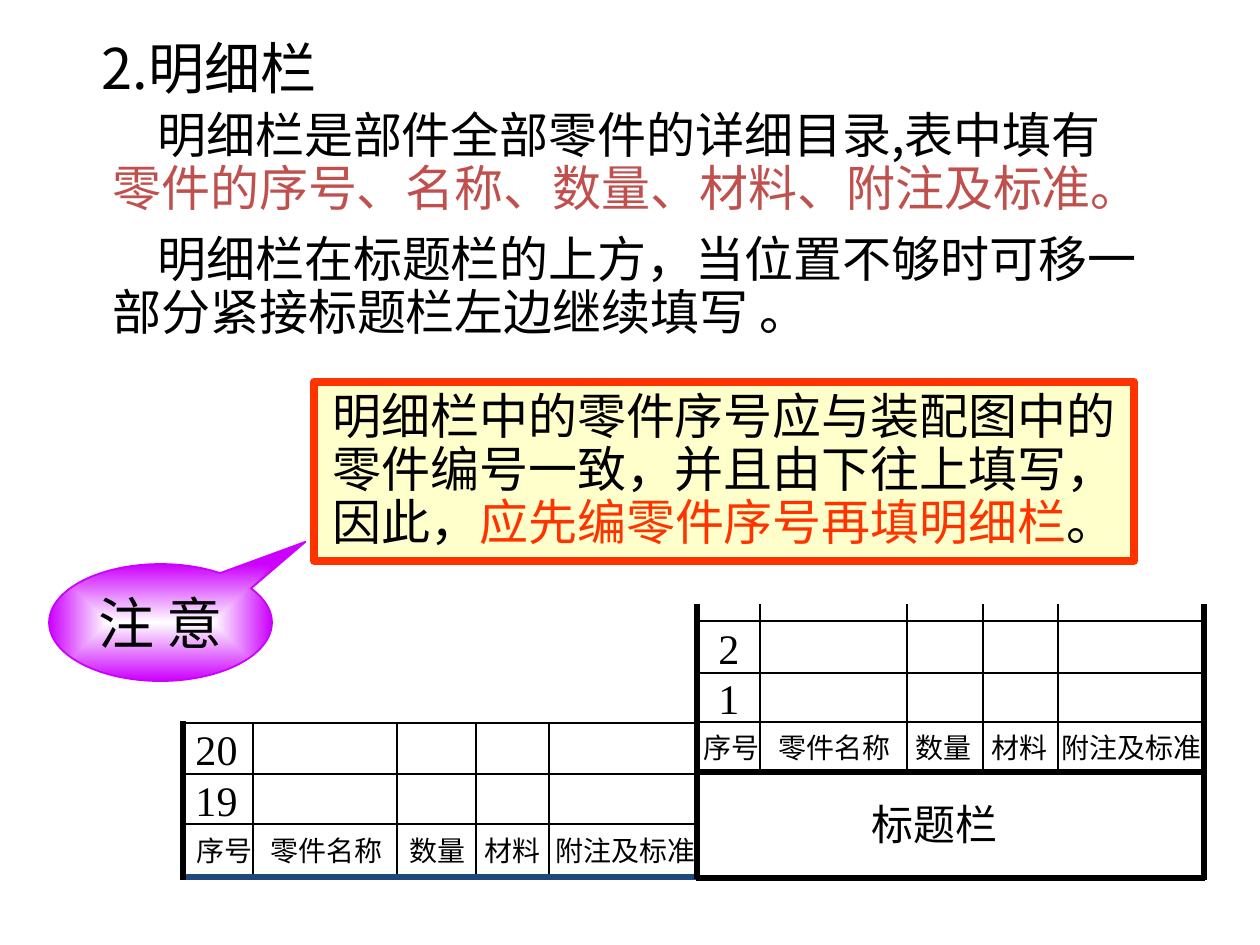
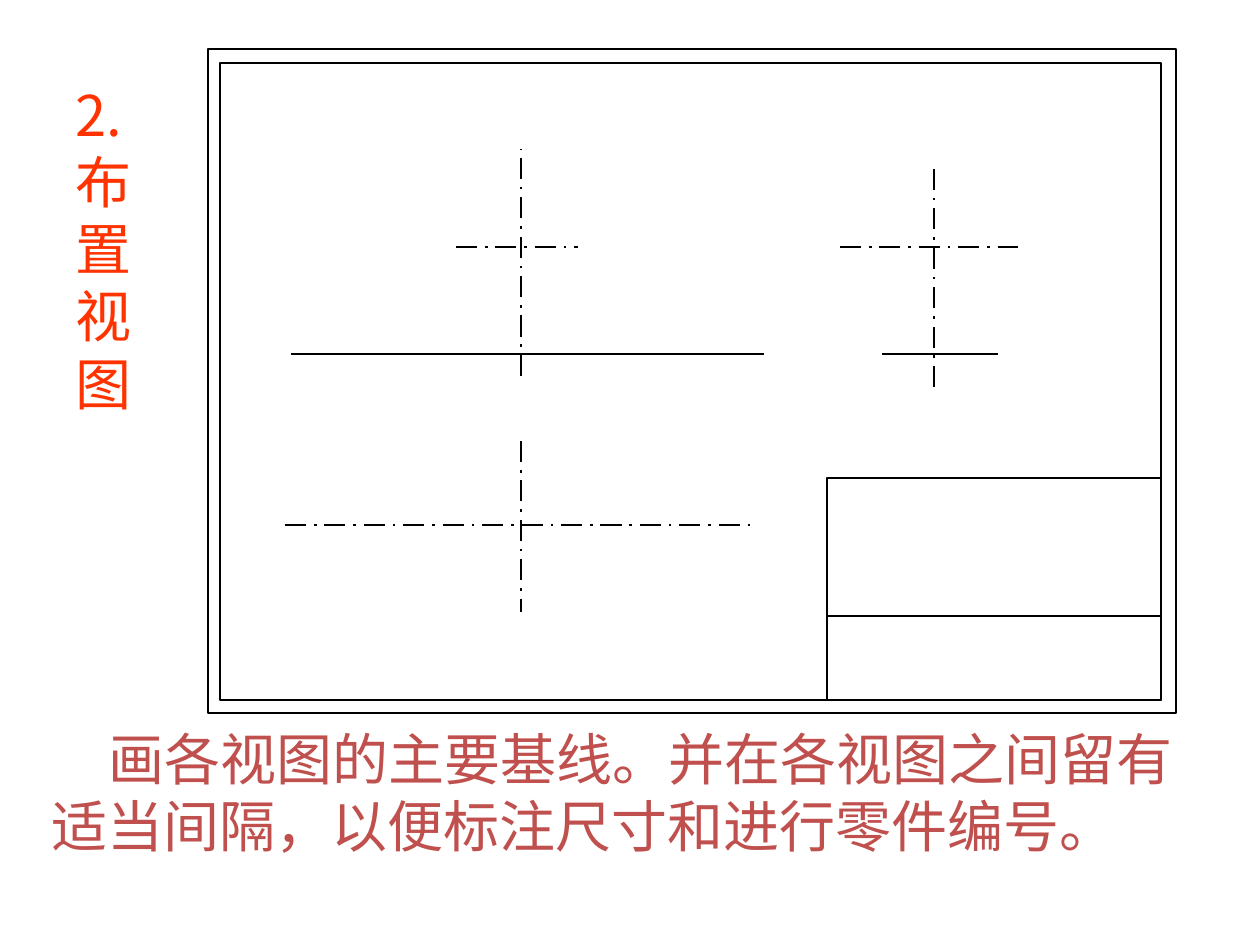
"""Build two slides on the parts list and the layout of views in an assembly drawing."""
from dataclasses import dataclass
from itertools import pairwise
from typing import Any, NamedTuple

from lxml import etree
from pptx import Presentation
from pptx import util as u
from pptx.dml import color
from pptx.enum import dml, shapes, text
from pptx.oxml import ns

PX = 914400 / 126


@dataclass(frozen=True)
class Theme:
    """Colours, fonts, type sizes and line weights of the deck."""
    ink: str = "000000"
    accent: str = "C0504D"
    alert: str = "FF3300"
    note: str = "FFFFCC"
    violet: str = "CC00FF"
    white: str = "FFFFFF"
    blue: str = "1F497D"
    sans: str = "Noto Sans CJK SC"
    serif: str = "Times New Roman"
    heading: int = 32
    body: int = 28
    entry: int = 24
    label: int = 16
    heavy: float = 3
    thin: float = 1.5
    border: float = 4.5


THEME = Theme()


class Area(NamedTuple):
    """A place on the page in px."""
    left: int
    top: int
    width: int
    height: int


class Span(NamedTuple):
    """A run of text in one colour."""
    words: str
    colour: str = THEME.ink


class Stroke(NamedTuple):
    """A straight line in px with its look."""
    x1: int
    y1: int
    x2: int
    y2: int
    weight: float = THEME.thin
    colour: str = THEME.ink
    dash: Any = None


class TextStyle(NamedTuple):
    """The format of all paragraphs in a box."""
    size: int
    font: str = THEME.sans
    align: Any = text.PP_ALIGN.LEFT
    spacing: float = 1.0
    indent: int = 0
    anchor: Any = text.MSO_ANCHOR.MIDDLE
    wrap: bool = True


class PartsForm(NamedTuple):
    """A ruled parts list; its bottom row holds the column names."""
    left: int
    right: int
    top: int
    rules: tuple[int, ...]
    foot: int
    foot_colour: str
    dividers: tuple[int, ...]
    centres: tuple[int, ...]
    number_x: int
    numbers: tuple[str, ...]


COLUMNS = ("序号", "零件名称", "数量", "材料", "附注及标准")
HEADING = TextStyle(THEME.heading)
BODY = TextStyle(THEME.body, spacing=0.9, indent=45)
CENTRED = TextStyle(THEME.body, align=text.PP_ALIGN.CENTER, spacing=0.9, wrap=False)
LABEL = TextStyle(THEME.label, THEME.serif, text.PP_ALIGN.CENTER, wrap=False)

FORMS = (
    PartsForm(697, 1204, 604, (621, 673, 722), 772, THEME.ink,
              (760, 907, 983, 1058), (731, 834, 943, 1019, 1131), 729, ("2", "1")),
    PartsForm(183, 698, 722, (723, 774, 824), 877, THEME.blue,
              (253, 397, 476, 549), (224, 326, 437, 512, 625), 216, ("20", "19")),
)
FORM_EDGES = ((697, 604, 697, 879), (1204, 604, 1204, 880),
              (183, 721, 183, 880), (696, 878, 1205, 878))

AXES = ((456, 247, 578, 247), (285, 525, 756, 525), (840, 247, 1018, 247),
        (521, 376, 521, 149), (934, 387, 934, 164), (521, 441, 521, 612))
BASELINES = ((882, 354, 998, 354), (291, 354, 764, 354), (827, 616, 1161, 616))
SHEET_FRAMES = (Area(208, 49, 968, 664), Area(220, 63, 941, 637), Area(827, 478, 334, 222))


def emu(px: float) -> int:
    """Turn px into EMU."""
    return round(px * PX)


def rgb(value: str) -> color.RGBColor:
    """Turn a hex value into a colour."""
    return color.RGBColor.from_string(value)


def apply(target: Any, values: dict[str, Any]) -> None:
    """Set every value of a format dict on the target."""
    for name, value in values.items():
        setattr(target, name, value)


def place(box: Any, area: Area) -> None:
    """Move and size a box."""
    apply(box, {name: emu(value) for name, value in area._asdict().items()})


def write(box: Any, paras: list[list[Span]], style: TextStyle) -> None:
    """Fill a box with formatted paragraphs."""
    frame = box.text_frame
    apply(frame, {"word_wrap": style.wrap, "auto_size": text.MSO_AUTO_SIZE.NONE,
                  "vertical_anchor": style.anchor})
    for index, spans in enumerate(paras):
        para = frame.add_paragraph() if index else frame.paragraphs[0]
        apply(para, {"alignment": style.align, "line_spacing": style.spacing})
        if style.indent and index == 0:
            para._p.get_or_add_pPr().set("indent", str(emu(style.indent)))
        for span in spans:
            run = para.add_run()
            run.text = span.words
            apply(run.font, {"size": u.Pt(style.size), "name": style.font})
            run.font.color.rgb = rgb(span.colour)
            east_asian = etree.SubElement(run._r.get_or_add_rPr(), ns.qn("a:ea"))
            east_asian.set("typeface", THEME.sans)


def add_text(page: Any, area: Area, paras: list[list[Span]], style: TextStyle) -> None:
    """Add a text box."""
    box = page.shapes.add_textbox(*map(emu, area))
    write(box, paras, style)


def add_label(page: Any, x: int, y: float, words: str, size: int) -> None:
    """Add a one-line label centred on a point."""
    glyphs = len(words) * (0.5 if words.isdigit() else 1)
    width, height = round(glyphs * size * 1.75 + 25), round(size * 2.1 + 13)
    area = Area(x - width // 2, round(y - height / 2), width, height)
    add_text(page, area, [[Span(words)]], LABEL._replace(size=size))


def add_stroke(page: Any, stroke: Stroke) -> None:
    """Draw a straight line."""
    line = page.shapes.add_connector(shapes.MSO_CONNECTOR.STRAIGHT, *map(emu, stroke[:4]))
    line.line.color.rgb = rgb(stroke.colour)
    apply(line.line, {"width": u.Pt(stroke.weight), "dash_style": stroke.dash})
    etree.SubElement(line._element.spPr, ns.qn("a:effectLst"))


def add_box(page: Any, kind: Any, area: Area, fill: str | None,
            outline: str, weight: float) -> Any:
    """Add a preset shape with a flat fill or none."""
    box = page.shapes.add_shape(kind, *map(emu, area))
    box.shadow.inherit = False
    if fill:
        box.fill.solid()
        box.fill.fore_color.rgb = rgb(fill)
    else:
        box.fill.background()
    box.line.color.rgb = rgb(outline)
    box.line.width = u.Pt(weight)
    return box


def glow(box: Any, inner: str, outer: str) -> None:
    """Fill a box with a gradient running out from its centre."""
    box.fill.gradient()
    for stop, value in zip(box.fill.gradient_stops, (inner, outer)):
        stop.color.rgb = rgb(value)
    gradient = box._element.spPr.find(ns.qn("a:gradFill"))
    gradient.remove(gradient.find(ns.qn("a:lin")))
    route = etree.SubElement(gradient, ns.qn("a:path"), {"path": "rect"})
    etree.SubElement(route, ns.qn("a:fillToRect"), {side: "50000" for side in "ltrb"})


def add_page(deck: Any, area: Area, title: Span, style: TextStyle) -> Any:
    """Add a title-only page and place its title."""
    page = deck.slides.add_slide(deck.slide_layouts[5])
    place(page.shapes.title, area)
    write(page.shapes.title, [[title]], style)
    return page


def add_form(page: Any, form: PartsForm) -> None:
    """Draw the rules, numbers and column names of a parts list."""
    for y in form.rules:
        add_stroke(page, Stroke(form.left, y, form.right, y))
    for x in form.dividers:
        add_stroke(page, Stroke(x, form.foot, x, form.top))
    add_stroke(page, Stroke(form.left, form.foot, form.right, form.foot,
                            THEME.heavy, form.foot_colour))
    *number_rows, name_row = [(a + b) / 2 for a, b in pairwise((*form.rules, form.foot))]
    for y, number in zip(number_rows, form.numbers):
        add_label(page, form.number_x, y, number, THEME.entry)
    for x, name in zip(form.centres, COLUMNS):
        add_label(page, x, name_row, name, THEME.label)


def build_parts_list(deck: Any) -> None:
    """Build the page on the parts list."""
    page = add_page(deck, Area(89, 28, 382, 79), Span("2.明细栏"), HEADING)
    add_text(page, Area(100, 105, 1097, 118),
             [[Span("明细栏是部件全部零件的详细目录,表中填有")],
              [Span("零件的序号、名称、数量、材料、附注及标准。", THEME.accent)]], BODY)
    add_text(page, Area(100, 229, 1075, 118),
             [[Span("明细栏在标题栏的上方，当位置不够时可移一部分紧接标题栏左边继续填写 。")]], BODY)
    callout = add_box(page, shapes.MSO_SHAPE.OVAL_CALLOUT, Area(49, 564, 223, 117),
                      THEME.violet, THEME.violet, 1)
    callout.adjustments[0], callout.adjustments[1] = 0.65, -0.69
    glow(callout, THEME.white, THEME.violet)
    write(callout, [[Span("注 意")]], LABEL._replace(size=THEME.heading))
    for form in FORMS:
        add_form(page, form)
    for edge in FORM_EDGES:
        add_stroke(page, Stroke(*edge, THEME.heavy))
    add_label(page, 934, 823, "标题栏", THEME.entry)
    note = add_box(page, shapes.MSO_SHAPE.RECTANGLE, Area(314, 382, 820, 179),
                   THEME.note, THEME.alert, THEME.border)
    write(note, [[Span("明细栏中的零件序号应与装配图中的")],
                 [Span("零件编号一致，并且由下往上填写，")],
                 [Span("因此，"), Span("应先编零件序号再填明细栏", THEME.alert), Span("。")]],
          CENTRED)


def build_view_layout(deck: Any) -> None:
    """Build the page on laying out the views."""
    page = add_page(deck, Area(63, 74, 96, 349), Span("2. 布置视图", THEME.alert),
                    HEADING._replace(anchor=text.MSO_ANCHOR.TOP))
    for axis in AXES:
        add_stroke(page, Stroke(*axis, dash=dml.MSO_LINE.LONG_DASH_DOT))
    add_text(page, Area(39, 718, 1182, 147),
             [[Span("画各视图的主要基线。并在各视图之间留有适当间隔，以便标注尺寸和进行零件编号。",
                    THEME.accent)]], HEADING._replace(indent=57))
    for area in SHEET_FRAMES:
        add_box(page, shapes.MSO_SHAPE.RECTANGLE, area, None, THEME.ink, THEME.thin)
    for baseline in BASELINES:
        add_stroke(page, Stroke(*baseline))


def main() -> None:
    """Build and save the deck."""
    deck = Presentation()
    apply(deck, {"slide_width": emu(1260), "slide_height": emu(945)})
    build_parts_list(deck)
    build_view_layout(deck)
    deck.save("out.pptx")


if __name__ == "__main__":
    main()
